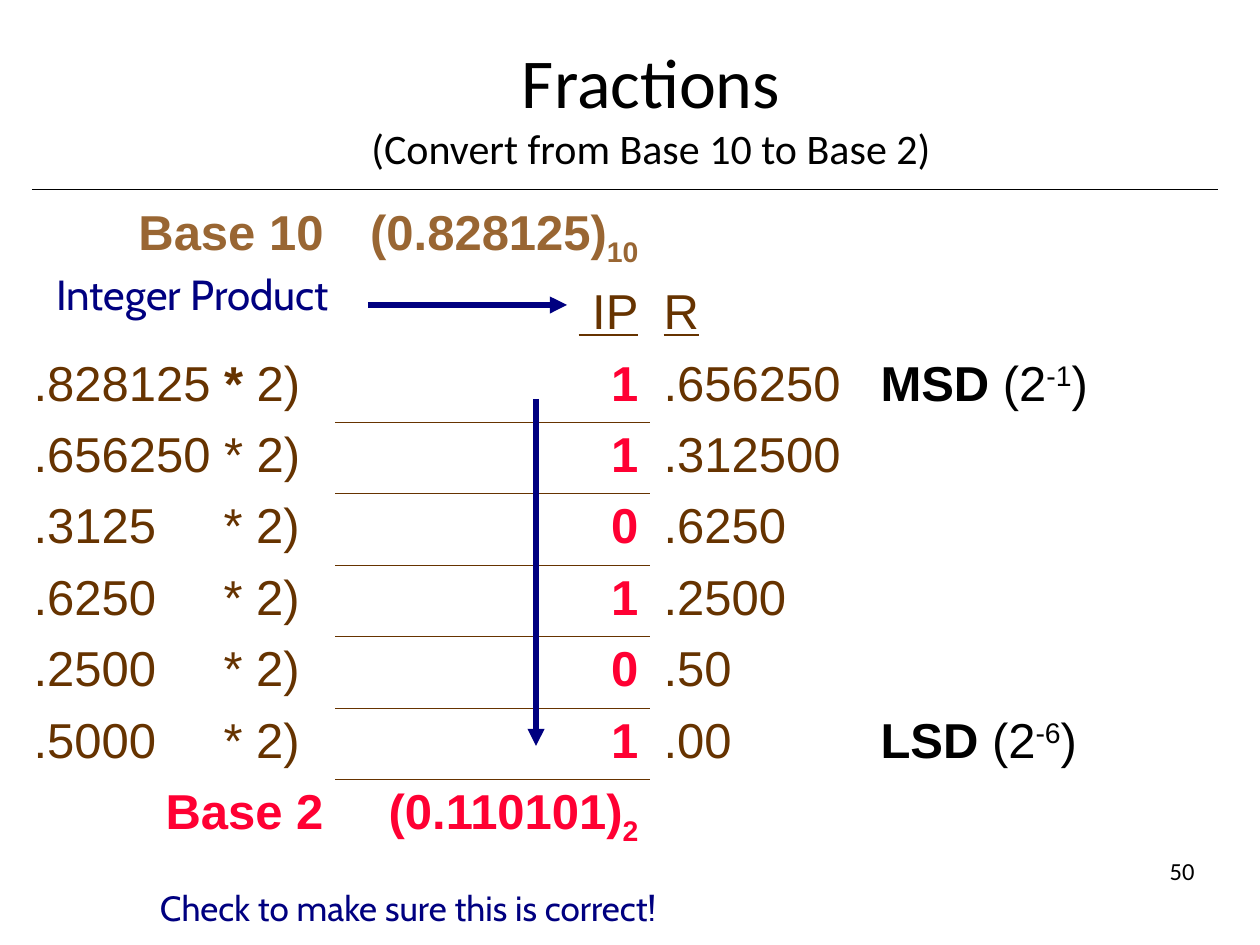
"""Build the slide on converting a base 10 fraction to base 2."""
from dataclasses import dataclass

from lxml.etree import SubElement
from pptx import Presentation
from pptx.dml.color import RGBColor
from pptx.enum.shapes import MSO_CONNECTOR as Connector
from pptx.enum.text import MSO_ANCHOR as Anchor, MSO_AUTO_SIZE as AutoSize, PP_ALIGN as Align
from pptx.oxml import parse_xml
from pptx.oxml.ns import nsdecls, qn
from pptx.util import Emu, Pt

COLORS = {"black": "000000", "tan": "996633", "brown": "663300", "red": "FF0033", "navy": "000080"}
COLUMNS = [315, 315, 217, 360]
ROWS = [79, 72, 71, 71, 72, 71, 72, 71, 79]
TAB_STOP = 190


@dataclass
class Span:
    text: str
    color: str = "brown"
    bold: bool = False
    baseline: int = 0
    underline: bool = False
    size: int = 28
    font: str = "Arial"


@dataclass
class Step:
    start: list[Span]
    digit: str
    rest: str
    place: list[Span]


@dataclass
class Label:
    spans: list[Span]
    box: tuple[int, int, int, int]
    align: Align = Align.LEFT
    inset: int = 13


@dataclass
class Stroke:
    start: tuple[int, int]
    end: tuple[int, int]
    color: str
    width: float
    arrow: bool = False


def px(value: int) -> Emu:
    return Emu(round(value * 914400 / 126))


def rgb(name: str) -> RGBColor:
    return RGBColor.from_string(COLORS[name])


def add_spans(para, spans: list[Span], align: Align) -> None:
    para.alignment = align
    for item in spans:
        span = para.add_run()
        span.text = item.text
        font = span.font
        font.name, font.size = item.font, Pt(item.size)
        font.bold, font.underline = item.bold, item.underline
        font.color.rgb = rgb(item.color)
        if item.baseline:
            font._element.set("baseline", str(item.baseline * 1000))


def add_label(page, label: Label) -> None:
    box = page.shapes.add_textbox(*map(px, label.box))
    frame = box.text_frame
    frame.word_wrap = True
    frame.margin_left = px(label.inset)
    add_spans(frame.paragraphs[0], label.spans, label.align)


def add_stroke(page, stroke: Stroke) -> None:
    line = page.shapes.add_connector(
        Connector.STRAIGHT, *map(px, stroke.start + stroke.end))
    line.line.color.rgb = rgb(stroke.color)
    line.line.width = Pt(stroke.width)
    properties = line.line._get_or_add_ln()
    if stroke.arrow:
        SubElement(properties, qn("a:tailEnd"), type="triangle")
    SubElement(line._element.spPr, qn("a:effectLst"))


def add_border(cell, side: str) -> None:
    border = parse_xml(
        f'<a:{side} {nsdecls("a")} w="5715"><a:solidFill>'
        f'<a:srgbClr val="{COLORS["brown"]}"/></a:solidFill></a:{side}>')
    cell._tc.get_or_add_tcPr().insert(0, border)


def add_tab_stop(para, position: int) -> None:
    stops = SubElement(para._p.get_or_add_pPr(), qn("a:tabLst"))
    SubElement(stops, qn("a:tab"), pos=str(px(position)), algn="l")


def place(name: str, power: str) -> list[Span]:
    return [Span(f"{name} ", "black", True), Span("(2", "black"),
            Span(power, "black", baseline=30), Span(")", "black")]


def total(name: str, number: str, base: str, color: str) -> list[list[Span]]:
    return [[Span(name, color, True)],
            [Span(f"({number})", color, True), Span(base, color, True, -25)], [], []]


def add_division_table(page, steps: list[Step]) -> None:
    grid = [total("Base 10", "0.828125", "10", "tan"),
            [[], [Span(" IP", underline=True)], [Span("R", underline=True)], []]]
    grid += [[step.start, [Span(step.digit, "red", True)], [Span(step.rest)], step.place]
             for step in steps]
    grid.append(total("Base 2", "0.110101", "2", "red"))
    table = page.shapes.add_table(
        len(ROWS), len(COLUMNS), px(21), px(200), px(sum(COLUMNS)), px(sum(ROWS))).table
    table.first_row = table.horz_banding = False
    for column, width in zip(table.columns, COLUMNS):
        column.width = px(width)
    last = len(ROWS) - 1
    for r, (row, height) in enumerate(zip(table.rows, ROWS)):
        row.height = px(height)
        for c, cell in enumerate(row.cells):
            cell.fill.background()
            para = cell.text_frame.paragraphs[0]
            right = c == 1 or (c == 0 and r in (0, last))
            if c == 0 and 2 <= r < last:
                add_tab_stop(para, TAB_STOP)
            add_spans(para, grid[r][c], Align.RIGHT if right else Align.LEFT)
            if c == 1 and 2 <= r < last:
                add_border(cell, "lnB")
            if c == 1 and r > 2:
                add_border(cell, "lnT")


def add_title(page) -> None:
    title = page.shapes.title
    title.left, title.top, title.width, title.height = map(px, (105, 21, 1092, 158))
    frame = title.text_frame
    frame.vertical_anchor = Anchor.BOTTOM
    frame.auto_size = AutoSize.NONE
    para = frame.paragraphs[0]
    add_spans(para, [Span("Fractions", "black", size=40, font="Calibri")], Align.CENTER)
    para.add_line_break()
    add_spans(para, [Span("(Convert from Base 10 to Base 2)", "black", size=24, font="Calibri")],
              Align.CENTER)


STEPS = [
    Step([Span(".828125 "), Span("*", bold=True), Span(" 2)")], "1", ".656250", place("MSD", "-1")),
    Step([Span(".656250 * 2)")], "1", ".312500", []),
    Step([Span(".3125\t* 2)")], "0", ".6250", []),
    Step([Span(".6250\t* 2)")], "1", ".2500", []),
    Step([Span(".2500\t* 2)")], "0", ".50", []),
    Step([Span(".5000\t* 2)")], "1", ".00", place("LSD", "-6")),
]
LABELS = [
    Label([Span("50", "black", size=14, font="Calibri")], (945, 850, 262, 63), Align.RIGHT),
    Label([Span("Check to make sure this is correct!", "navy", size=20, font="Cabin")],
          (147, 880, 1018, 55)),
    Label([Span("Integer Product", "navy", size=24, font="Cabin")],
          (0, 262, 368, 63), Align.CENTER, 30),
]
STROKES = [
    Stroke((32, 189), (1218, 189), "black", 0.5),
    Stroke((536, 399), (536, 746), "navy", 3.25, True),
    Stroke((368, 305), (567, 305), "navy", 3.25, True),
]


def main() -> None:
    deck = Presentation()
    deck.slide_width, deck.slide_height = px(1260), px(945)
    page = deck.slides.add_slide(deck.slide_layouts[5])
    add_title(page)
    add_division_table(page, STEPS)
    for label in LABELS:
        add_label(page, label)
    for stroke in STROKES:
        add_stroke(page, stroke)
    deck.save("out.pptx")


if __name__ == "__main__":
    main()
